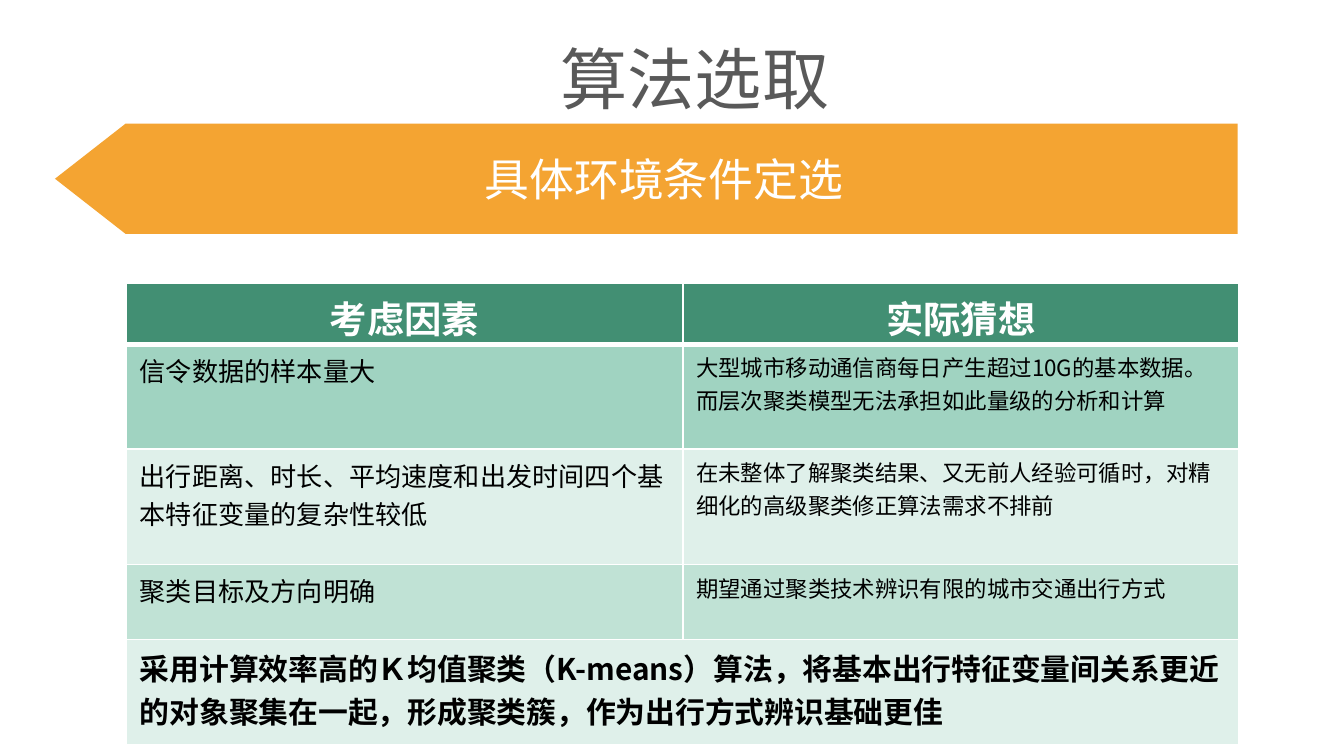
from lxml import etree
from pptx import Presentation
from pptx.dml.color import RGBColor
from pptx.enum import shapes, text
from pptx.oxml.ns import qn
from pptx.util import Inches, Pt

SANS = "Noto Sans CJK SC"
MID = text.PP_ALIGN.CENTER
ROWS = [
    ("信令数据的样本量大",
     "大型城市移动通信商每日产生超过10G的基本数据。而层次聚类模型无法承担如此量级的分析和计算"),
    ("出行距离、时长、平均速度和出发时间四个基本特征变量的复杂性较低",
     "在未整体了解聚类结果、又无前人经验可循时，对精细化的高级聚类修正算法需求不排前"),
    ("聚类目标及方向明确", "期望通过聚类技术辨识有限的城市交通出行方式"),
]
FILLS = ["A0D3C1", "DFF0EA", "C0E2D5"]
RESULT = ("采用计算效率高的Ｋ均值聚类（K-means）算法，将基本出行特征变量间关系更近的"
          "对象聚集在一起，形成聚类簇，作为出行方式辨识基础更佳")


def color(code):
    return RGBColor.from_string(code)


def paint(item, code):
    item.fill.solid()
    item.fill.fore_color.rgb = color(code)


def write(frame, words, size, ink, face=SANS, bold=False, align=None):
    frame.text = words
    para = frame.paragraphs[0]
    para.alignment = align
    font = para.font
    font.name, font.size, font.bold = face, Pt(size), bold
    font.color.rgb = color(ink)


def inset(frame):
    frame.margin_left = frame.margin_right = Inches(0.07)
    frame.margin_top = frame.margin_bottom = Inches(0.04)
    frame.word_wrap = False


def border(cell, low=1):
    """Draw white cell edges; low is the width of the bottom one."""
    props = cell._tc.get_or_add_tcPr()
    for place, side in enumerate("LRTB"):
        width = low if side == "B" else 1
        line = etree.Element(qn(f"a:ln{side}"), w=str(Pt(width)))
        fill = etree.SubElement(line, qn("a:solidFill"))
        etree.SubElement(fill, qn("a:srgbClr"), val="FFFFFF")
        props.insert(place, line)


def add_title(slide):
    box = slide.shapes.add_textbox(Inches(4.1), Inches(0.24), Inches(2.16), Inches(0.68))
    inset(box.text_frame)
    box.text_frame.auto_size = text.MSO_AUTO_SIZE.SHAPE_TO_FIT_TEXT
    write(box.text_frame, "算法选取", 36, "595959", "Calibri")


def add_banner(slide):
    banner = slide.shapes.add_shape(shapes.MSO_SHAPE.PENTAGON, Inches(0.41),
                                    Inches(0.92), Inches(8.8), Inches(0.82))
    banner.adjustments[0] = 0.64
    banner._element.spPr.xfrm.set("flipH", "1")
    banner.shadow.inherit = False
    paint(banner, "F4A432")
    banner.line.fill.background()
    inset(banner.text_frame)
    banner.text_frame.vertical_anchor = text.MSO_ANCHOR.MIDDLE
    write(banner.text_frame, "具体环境条件定选", 24, "FFFFFF", align=MID)


def add_factors(slide):
    highs = [0.45, 0.78, 0.86, 0.56, 0.78]
    table = slide.shapes.add_table(len(highs), 2, Inches(0.94), Inches(2.11),
                                   Inches(8.28), Inches(sum(highs))).table
    for row, high in zip(table.rows, highs):
        row.height = Inches(high)

    for col, words in enumerate(("考虑因素", "实际猜想")):
        cell = table.cell(0, col)
        paint(cell, "428F73")
        border(cell, 3)
        write(cell.text_frame, words, 20, "FFFFFF", bold=True, align=MID)

    for row, (pair, fill) in enumerate(zip(ROWS, FILLS), 1):
        for col, (words, size) in enumerate(zip(pair, (14, 12))):
            cell = table.cell(row, col)
            paint(cell, fill)
            border(cell)
            write(cell.text_frame, words, size, "000000")

    last = table.cell(4, 0)
    last.merge(table.cell(4, 1))
    paint(last, "DFF0EA")
    border(last)
    write(last.text_frame, RESULT, 16, "000000", bold=True)


def main():
    deck = Presentation()
    deck.slide_width = Inches(10)
    deck.slide_height = deck.slide_width * 9 // 16
    slide = deck.slides.add_slide(deck.slide_layouts[6])
    add_title(slide)
    add_banner(slide)
    add_factors(slide)
    deck.save("out.pptx")


if __name__ == "__main__":
    main()
